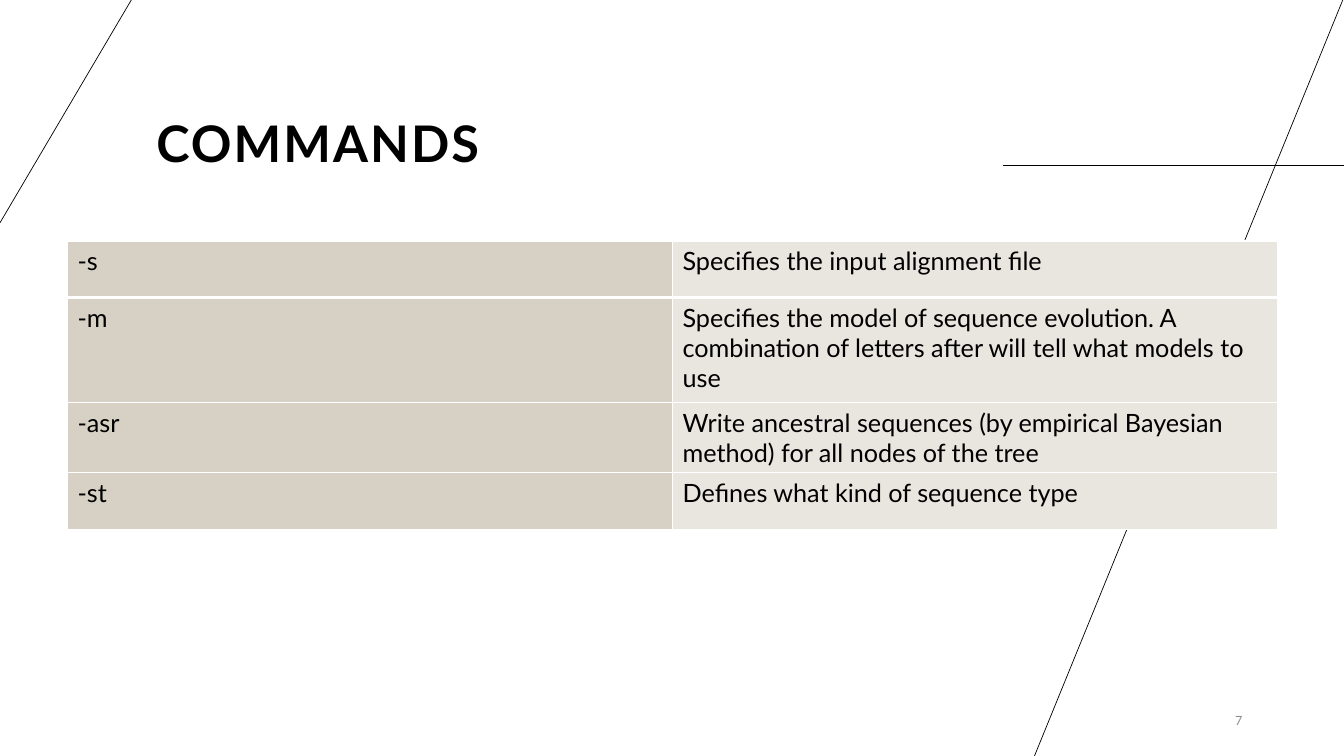
from lxml.etree import SubElement
from pptx import Presentation
from pptx.dml.color import RGBColor
from pptx.enum.shapes import MSO_CONNECTOR
from pptx.enum.text import MSO_ANCHOR, MSO_AUTO_SIZE, PP_ALIGN
from pptx.oxml.ns import qn
from pptx.util import Inches, Pt

BLACK = RGBColor(0x00, 0x00, 0x00)
GRAY = RGBColor(0x8C, 0x8C, 0x8C)
FLAG_FILL = RGBColor(0xD6, 0xD1, 0xC4)
MEANING_FILL = RGBColor(0xE9, 0xE6, 0xDF)
WHITE = RGBColor(0xFF, 0xFF, 0xFF)
FONT = "Lato"

COMMANDS = [
    ("-s", "Specifies the input alignment file", 0.56),
    ("-m", "Specifies the model of sequence evolution. "
           "A combination of letters after will tell what models to use", 1.04),
    ("-asr", "Write ancestral sequences (by empirical Bayesian method) "
             "for all nodes of the tree", 0.69),
    ("-st", "Defines what kind of sequence type", 0.56),
]
ACCENT_LINES = [
    (9.95, 1.64, 13.33, 1.64),
    (13.33, -0.03, 10.26, 7.5),
    (0, 2.21, 1.32, -0.03),
]


def style(paragraph, size, color, bold=False):
    font = paragraph.font
    font.name, font.size, font.bold = FONT, Pt(size), bold
    font.color.rgb = color


def add_border(cell, side, width):
    """Draw one white cell edge; side is L, R, T or B, in that order."""
    edge = SubElement(cell._tc.get_or_add_tcPr(), qn(f"a:ln{side}"), w=str(Pt(width)))
    fill = SubElement(edge, qn("a:solidFill"))
    SubElement(fill, qn("a:srgbClr"), val=str(WHITE))


deck = Presentation()
deck.slide_width, deck.slide_height = Inches(13.33), Inches(7.5)
page = deck.slides.add_slide(deck.slide_layouts[5])

# Accent lines
for ends in ACCENT_LINES:
    line = page.shapes.add_connector(MSO_CONNECTOR.STRAIGHT, *map(Inches, ends))
    line.line.color.rgb = BLACK
    line.line.width = Pt(0.5)
    SubElement(line._element.spPr, qn("a:effectLst"))

# Title
title = page.shapes.title
title.left, title.top = Inches(1.45), Inches(0.29)
title.width, title.height = Inches(7.97), Inches(1.48)
title.text_frame.text = "COMMANDS"
title.text_frame.auto_size = MSO_AUTO_SIZE.NONE
title.text_frame.vertical_anchor = MSO_ANCHOR.BOTTOM
heading = title.text_frame.paragraphs[0]
heading.alignment = PP_ALIGN.LEFT
heading.line_spacing = 0.9
style(heading, 36, BLACK, bold=True)
heading.runs[0]._r.get_or_add_rPr().set("spc", "150")

# Command table
table = page.shapes.add_table(len(COMMANDS), 2, Inches(0.67), Inches(2.39),
                              Inches(12), Inches(2.85)).table
table.first_row = table.horz_banding = False
for row, (flag, meaning, height) in enumerate(COMMANDS):
    table.rows[row].height = Inches(height)
    for column, (text, fill) in enumerate([(flag, FLAG_FILL), (meaning, MEANING_FILL)]):
        cell = table.cell(row, column)
        cell.text = text
        style(cell.text_frame.paragraphs[0], 18, BLACK)
        for side in "LRTB":
            below_first = (row, side) in [(0, "B"), (1, "T")]
            add_border(cell, side, 3 if below_first else 1)
        cell.fill.solid()
        cell.fill.fore_color.rgb = fill

# Page number
number_box = page.shapes.add_textbox(Inches(11.34), Inches(6.95), Inches(1.08), Inches(0.4))
number_box.text_frame.word_wrap = True
number_box.text_frame.vertical_anchor = MSO_ANCHOR.MIDDLE
number = number_box.text_frame.paragraphs[0]
number.text = "7"
number.alignment = PP_ALIGN.RIGHT
style(number, 9, GRAY)

deck.save("out.pptx")
